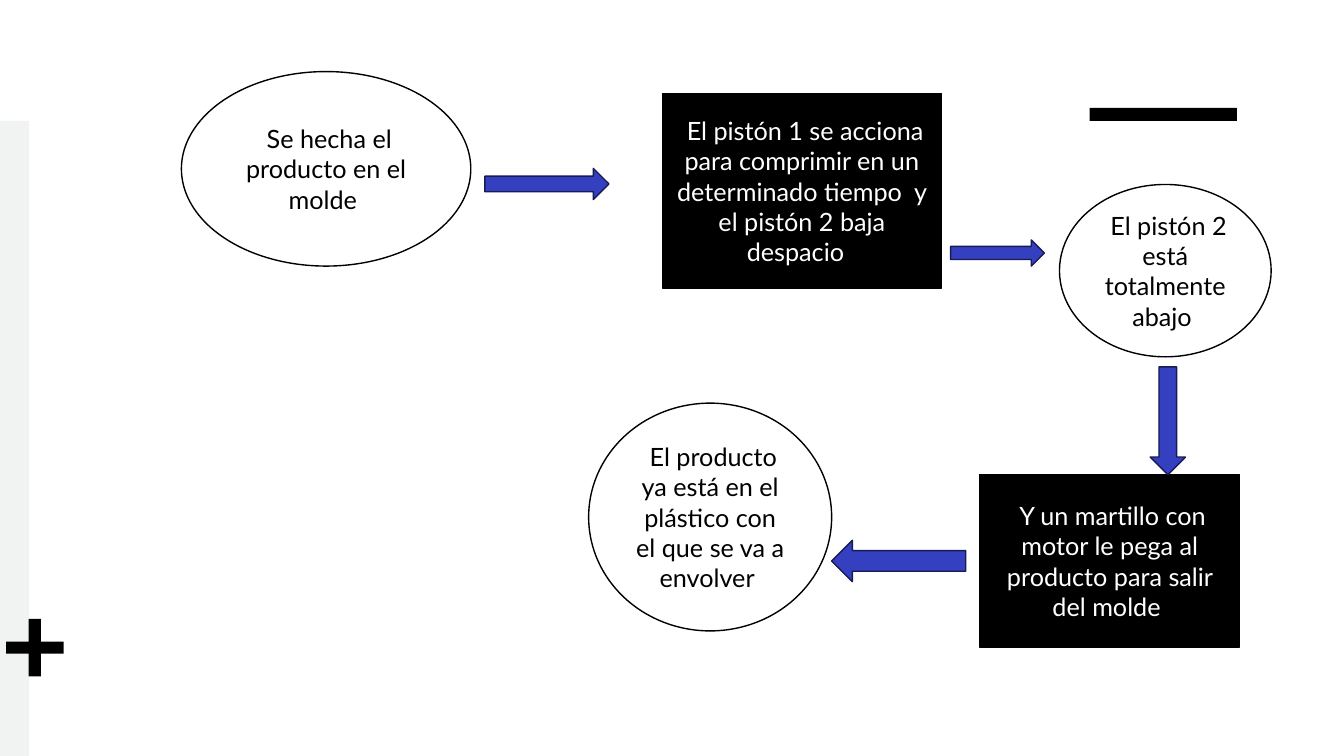
from typing import NamedTuple, Optional

from pptx import Presentation
from pptx.dml.color import RGBColor
from pptx.enum.shapes import MSO_SHAPE
from pptx.enum.text import MSO_ANCHOR, PP_ALIGN
from pptx.util import Inches, Pt

RECT, OVAL, PLUS = MSO_SHAPE.RECTANGLE, MSO_SHAPE.OVAL, MSO_SHAPE.CROSS
RIGHT, DOWN, LEFT = MSO_SHAPE.RIGHT_ARROW, MSO_SHAPE.DOWN_ARROW, MSO_SHAPE.LEFT_ARROW
MIDDLE, CENTER = MSO_ANCHOR.MIDDLE, PP_ALIGN.CENTER

COLORS = {
    "black": "000000",
    "white": "FFFFFF",
    "mist": "F0F3F1",
    "blue": "3440C0",
    "navy": "171C54",
}
FONT = "Lato"
WIDTH, HEIGHT = Inches(13.33), Inches(7.5)


class Box(NamedTuple):
    """Left, top, width and height in percent of the slide's size."""
    left: float
    top: float
    width: float
    height: float


class Ornament(NamedTuple):
    kind: int
    box: Box
    color: str


class Step(NamedTuple):
    kind: int
    box: Box
    text: str


class Arrow(NamedTuple):
    kind: int
    box: Box


ORNAMENTS = [
    Ornament(RECT, Box(0, 16, 2.18, 84), "mist"),
    Ornament(PLUS, Box(0.45, 81.87, 4.28, 7.6), "black"),
    Ornament(RECT, Box(81.08, 14.27, 10.95, 1.73), "black"),
]
STEPS = [
    Step(OVAL, Box(13.5, 9.47, 21.53, 25.73), " Se hecha el producto en el molde "),
    Step(RECT, Box(49.28, 12.4, 20.78, 25.73),
         " El pistón 1 se acciona para comprimir en un determinado tiempo  y "
         "el pistón 2 baja despacio  "),
    Step(OVAL, Box(78.83, 24.4, 15.75, 22.8), " El pistón 2 está totalmente abajo "),
    Step(RECT, Box(72.9, 62.8, 19.35, 22.8),
         " Y un martillo con motor le pega al producto para salir del molde "),
    Step(OVAL, Box(43.8, 53.33, 18.08, 30.13),
         " El producto ya está en el plástico con el que se va a envolver "),
]
ARROWS = [
    Arrow(RIGHT, Box(36.08, 22.27, 9.23, 4.13)),
    Arrow(RIGHT, Box(70.73, 31.73, 6.98, 3.47)),
    Arrow(DOWN, Box(85.58, 48.53, 2.63, 14.27)),
    Arrow(LEFT, Box(61.88, 71.47, 9.98, 5.47)),
]


def rgb(color: str) -> RGBColor:
    return RGBColor.from_string(COLORS[color])


def draw_shape(slide, kind: int, box: Box, fill: str, line: Optional[str] = None):
    shape = slide.shapes.add_shape(
        kind,
        int(WIDTH * box.left / 100), int(HEIGHT * box.top / 100),
        int(WIDTH * box.width / 100), int(HEIGHT * box.height / 100))
    shape.shadow.inherit = False
    shape.fill.solid()
    shape.fill.fore_color.rgb = rgb(fill)
    if line:
        shape.line.color.rgb = rgb(line)
        shape.line.width = Pt(1)
    else:
        shape.line.fill.background()
    return shape


def draw_ornament(slide, ornament: Ornament) -> None:
    shape = draw_shape(slide, ornament.kind, ornament.box, ornament.color)
    if ornament.kind == PLUS:
        shape.adjustments[0] = 0.395


def draw_step(slide, step: Step) -> None:
    fill, ink = ("white", "black") if step.kind == OVAL else ("black", "white")
    frame = draw_shape(slide, step.kind, step.box, fill, "black").text_frame
    frame.word_wrap = True
    frame.vertical_anchor = MIDDLE
    label = frame.paragraphs[0]
    label.text = step.text
    label.alignment = CENTER
    label.font.name = FONT
    label.font.size = Pt(18)
    label.font.color.rgb = rgb(ink)


def main() -> None:
    deck = Presentation()
    deck.slide_width, deck.slide_height = WIDTH, HEIGHT
    slide = deck.slides.add_slide(deck.slide_layouts[6])

    # Decoration at the edges
    for ornament in ORNAMENTS:
        draw_ornament(slide, ornament)

    # Process steps
    for step in STEPS:
        draw_step(slide, step)

    # Arrows from step to step
    for arrow in ARROWS:
        draw_shape(slide, arrow.kind, arrow.box, "blue", "navy")

    deck.save("out.pptx")


if __name__ == "__main__":
    main()
